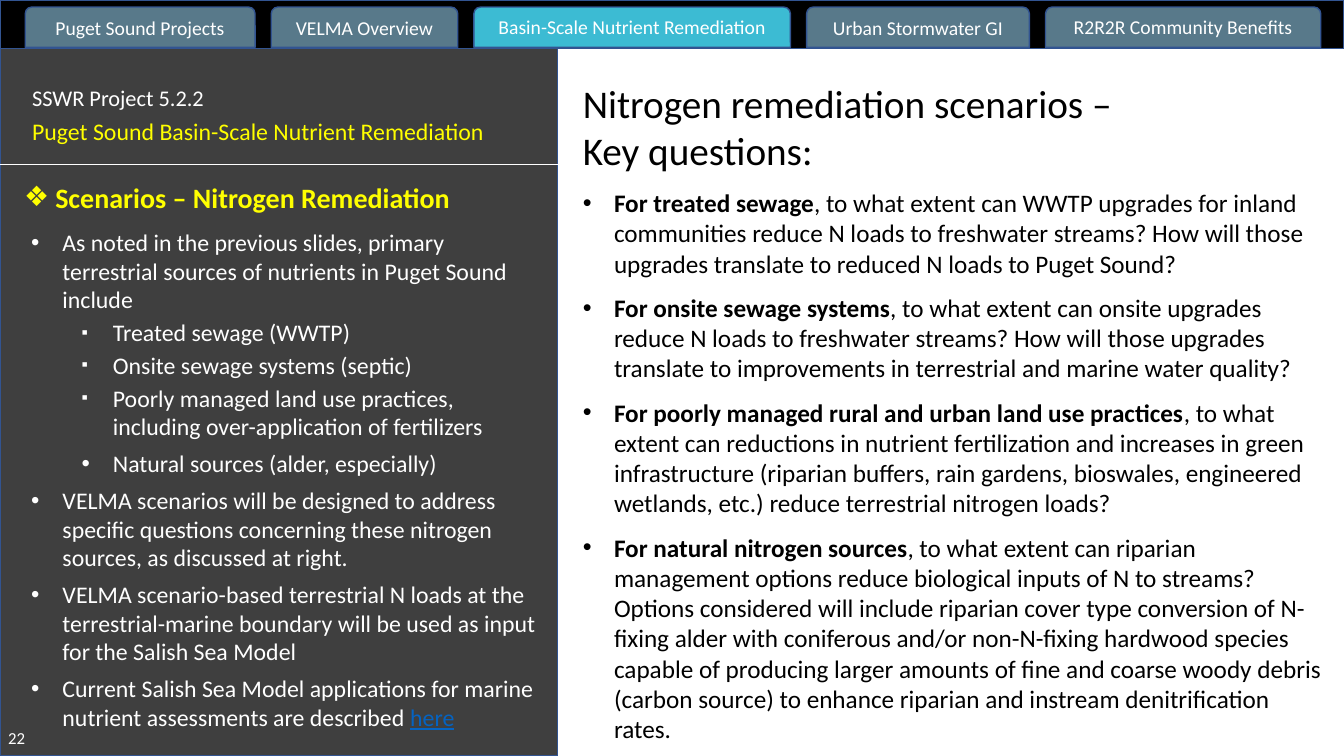
from dataclasses import dataclass

from lxml import etree
from pptx import Presentation
from pptx.dml.color import RGBColor
from pptx.enum.shapes import MSO_CONNECTOR, MSO_SHAPE
from pptx.enum.text import MSO_ANCHOR, MSO_AUTO_SIZE, PP_ALIGN
from pptx.oxml.ns import qn
from pptx.util import Inches, Pt

RECTANGLE = MSO_SHAPE.RECTANGLE
TAB_SHAPE = MSO_SHAPE.ROUND_2_SAME_RECTANGLE
STRAIGHT = MSO_CONNECTOR.STRAIGHT
TOP, MIDDLE = MSO_ANCHOR.TOP, MSO_ANCHOR.MIDDLE
LEFT, CENTER = PP_ALIGN.LEFT, PP_ALIGN.CENTER
NO_AUTOFIT = MSO_AUTO_SIZE.NONE


@dataclass(frozen=True)
class Theme:
    font: str = "Calibri"
    white: str = "FFFFFF"
    black: str = "000000"
    yellow: str = "FFFF00"
    link: str = "0563C1"
    panel: str = "3F3F3F"
    tab: str = "58798A"
    active_tab: str = "3CBBD3"
    outline: str = "325491"
    title: int = 28
    heading: int = 20
    question: int = 18
    finding: int = 17
    project: int = 16
    nav: int = 14
    page: int = 12


THEME = Theme()
SLIDE_W, SLIDE_H = 13.33, 7.5
NAV_H = 0.48
PANEL_W = 5.53
HANG = 0.31
TAB_GAP = 0.16

TABS = [
    ("Puget Sound Projects", 2.28),
    ("VELMA Overview", 1.85),
    ("Basin-Scale Nutrient Remediation", 3.14),
    ("Urban Stormwater GI", 2.21),
    ("R2R2R Community Benefits", 2.73),
]
ACTIVE_TAB = "Basin-Scale Nutrient Remediation"
RAISED_TABS = (ACTIVE_TAB, "R2R2R Community Benefits")

FINDINGS = [
    (0, "•", 0, "As noted in the previous slides, primary terrestrial sources of nutrients in Puget Sound include"),
    (1, "▪", 3, "Treated sewage (WWTP)"),
    (1, "▪", 3, "Onsite sewage systems (septic)"),
    (1, "▪", 3, "Poorly managed land use practices, including over-application of fertilizers"),
    (1, "•", 6, "Natural sources (alder, especially)"),
    (0, "•", 6, "VELMA scenarios will be designed to address specific questions concerning these nitrogen sources, as discussed at right."),
    (0, "•", 6, "VELMA scenario-based terrestrial N loads at the terrestrial-marine boundary will be used as input for the Salish Sea Model"),
    (0, "•", 6, "Current Salish Sea Model applications for marine nutrient assessments are described "),
]
LINK_WORD = "here"

QUESTIONS = [
    ("For treated sewage", ", to what extent can WWTP upgrades for inland communities reduce N loads to freshwater streams? How will those upgrades translate to reduced N loads to Puget Sound?"),
    ("For onsite sewage systems", ", to what extent can onsite upgrades reduce N loads to freshwater streams? How will those upgrades translate to improvements in terrestrial and marine water quality?"),
    ("For poorly managed rural and urban land use practices", ", to what extent can reductions in nutrient fertilization and increases in green infrastructure (riparian buffers, rain gardens, bioswales, engineered wetlands, etc.) reduce terrestrial nitrogen loads?"),
    ("For natural nitrogen sources", ", to what extent can riparian management options reduce biological inputs of N to streams? Options considered will include riparian cover type conversion of N-fixing alder with coniferous and/or non-N-fixing hardwood species capable of producing larger amounts of fine and coarse woody debris (carbon source) to enhance riparian and instream denitrification rates."),
]


def inches(box):
    return [Inches(length) for length in box]


def style(run, size, color, bold=False):
    run.font.name = THEME.font
    run.font.size = Pt(size)
    run.font.color.rgb = RGBColor.from_string(color)
    run.font.bold = bold


def add_bullet(paragraph, mark, indent=HANG, percent=100):
    properties = paragraph._p.get_or_add_pPr()
    properties.set("marL", str(Inches(indent)))
    properties.set("indent", str(-Inches(HANG)))
    etree.SubElement(properties, qn("a:buSzPct"), val=str(percent * 1000))
    etree.SubElement(properties, qn("a:buFont"), typeface="Arial")
    etree.SubElement(properties, qn("a:buChar"), char=mark)


def add_block(slide, box, shape_type, color):
    block = slide.shapes.add_shape(shape_type, *inches(box))
    block.shadow.inherit = False
    block.fill.solid()
    block.fill.fore_color.rgb = RGBColor.from_string(color)
    block.line.color.rgb = RGBColor.from_string(THEME.outline)
    block.line.width = Pt(1)
    return block


def place(placeholder, box):
    placeholder.left, placeholder.top, placeholder.width, placeholder.height = inches(box)
    placeholder.element.getparent().append(placeholder.element)
    frame = placeholder.text_frame
    frame.auto_size = NO_AUTOFIT
    frame.vertical_anchor = TOP
    return frame


def add_text(slide, box, lines, wrap=True):
    frame = slide.shapes.add_textbox(*inches(box)).text_frame
    frame.word_wrap = wrap
    frame.text = "\n".join(line for line, _, _ in lines)
    for paragraph, (_, size, color) in zip(frame.paragraphs, lines):
        style(paragraph.runs[0], size, color)
    return frame


def build_navigation(slide, box):
    left, top, width, height = box
    add_block(slide, box, RECTANGLE, THEME.black)
    tab_left = left + 0.25
    for label, tab_width in TABS:
        color = THEME.active_tab if label == ACTIVE_TAB else THEME.tab
        tab = add_block(slide, (tab_left, top + 0.07, tab_width, height - 0.08), TAB_SHAPE, color)
        tab.text_frame.text = label
        tab.text_frame.vertical_anchor = MIDDLE
        paragraph = tab.text_frame.paragraphs[0]
        paragraph.alignment = CENTER
        if label in RAISED_TABS:
            paragraph.line_spacing = Pt(THEME.nav)
        style(paragraph.runs[0], THEME.nav, THEME.white)
        tab_left += tab_width + TAB_GAP


def build_scenarios(slide, box, body):
    left, top, width, height = box
    add_block(slide, box, RECTANGLE, THEME.panel)

    project = add_text(slide, (left + 0.22, top + 0.76, 4.86, 0.71), [
        ("SSWR Project 5.2.2", THEME.project, THEME.white),
        ("Puget Sound Basin-Scale Nutrient Remediation", THEME.finding, THEME.yellow),
    ])
    project.paragraphs[1].space_before = Pt(4)

    divider = slide.shapes.add_connector(
        STRAIGHT, *inches((left, top + 1.6, left + width, top + 1.6)))
    divider.line.color.rgb = RGBColor.from_string(THEME.white)
    divider.line.width = Pt(0.5)
    etree.SubElement(divider.element.spPr, qn("a:effectLst"))

    heading = add_text(slide, (left + 0.14, top + 1.71, 4.47, 0.44), [
        ("Scenarios – Nitrogen Remediation", THEME.heading, THEME.yellow),
    ], wrap=False).paragraphs[0]
    heading.runs[0].font.bold = True
    add_bullet(heading, "❖")

    frame = place(body, (left + 0.21, top + 2.18, width - 0.27, 5.14))
    frame.text = "\n".join(finding for _, _, _, finding in FINDINGS)
    for paragraph, (level, mark, before, _) in zip(frame.paragraphs, FINDINGS):
        paragraph.level = level
        add_bullet(paragraph, mark, HANG + level * 0.5, 75 if mark == "▪" else 100)
        paragraph.space_before = Pt(before)
        style(paragraph.runs[0], THEME.finding, THEME.white)
    link = frame.paragraphs[-1].add_run()
    link.text = LINK_WORD
    style(link, THEME.finding, THEME.link)
    link.font.underline = True

    page = add_text(slide, (left, top + height - 0.36, 0.4, 0.36),
                    [("22", THEME.page, THEME.white)])
    page.margin_left = Inches(0.08)
    page.vertical_anchor = MIDDLE


def build_questions(slide, box, title, body):
    left, top, width, height = box
    title_height = 1.07
    frame = place(title, (left, top, width, title_height))
    frame.text = "Nitrogen remediation scenarios –\vKey questions:"
    heading = frame.paragraphs[0]
    heading.alignment = LEFT
    for run in heading.runs:
        style(run, THEME.title, THEME.black)

    frame = place(body, (left, top + title_height, width, height - title_height))
    frame.text = "\n".join(topic for topic, _ in QUESTIONS)
    for index, (paragraph, (_, question)) in enumerate(zip(frame.paragraphs, QUESTIONS)):
        add_bullet(paragraph, "•")
        paragraph.space_before = Pt(6 if index else 0)
        paragraph.space_after = Pt(4)
        style(paragraph.runs[0], THEME.question, THEME.black, bold=True)
        rest = paragraph.add_run()
        rest.text = question
        style(rest, THEME.question, THEME.black)


def main():
    deck = Presentation()
    deck.slide_width, deck.slide_height = Inches(SLIDE_W), Inches(SLIDE_H)
    slide = deck.slides.add_slide(deck.slide_layouts[3])
    title, findings, questions = slide.placeholders
    build_scenarios(slide, (0, 0.03, PANEL_W, SLIDE_H - 0.03), findings)
    build_navigation(slide, (0, 0, SLIDE_W, NAV_H))
    build_questions(slide, (5.68, 0.74, 7.58, 6.74), title, questions)
    deck.save("out.pptx")


if __name__ == "__main__":
    main()
